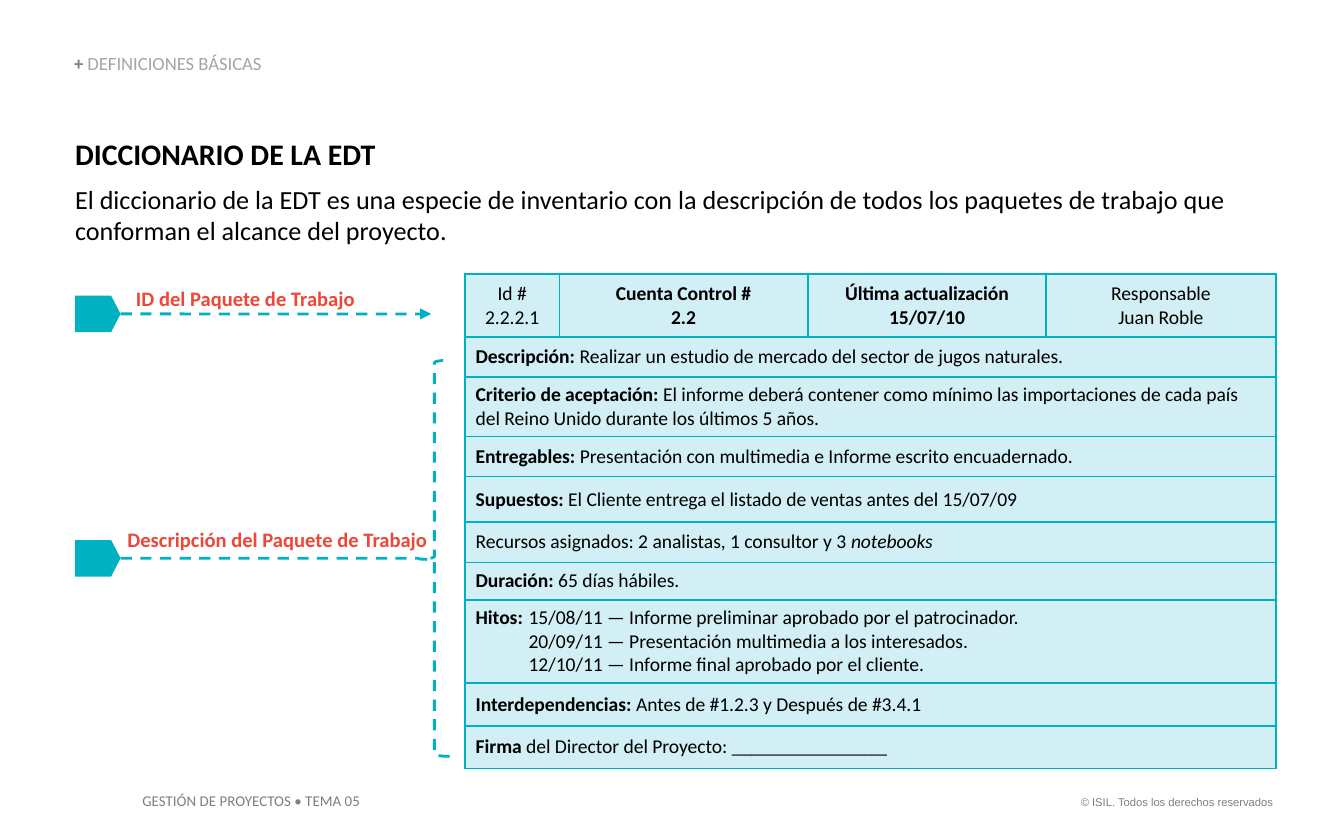
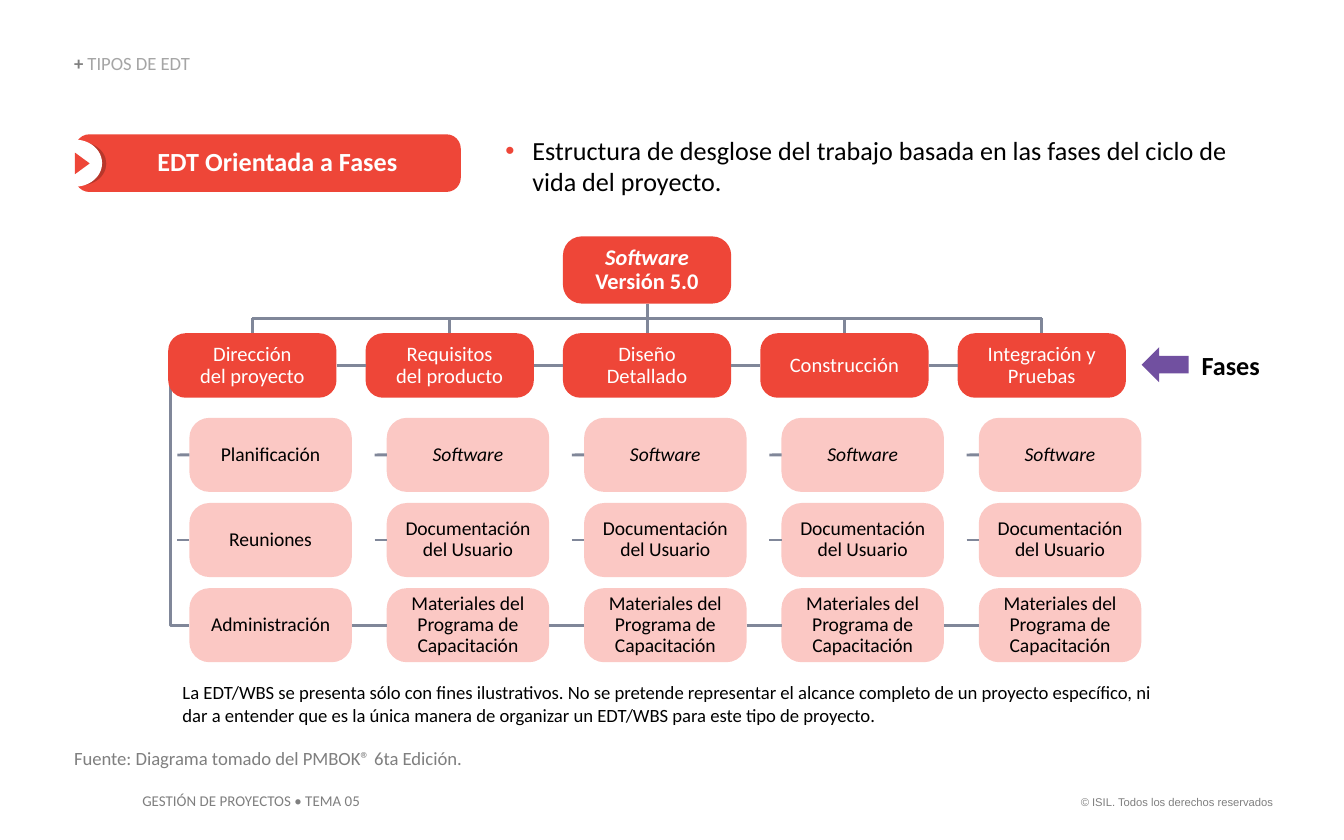
from lxml import etree
from pptx import Presentation, util as u
from pptx.dml.color import RGBColor
from pptx.enum import dml, shapes, text
from pptx.oxml.ns import qn

TEAL, PALE, RED, PINK = "00B1C2", "D1EFF4", "EE4638", "FBC8C4"
DARK, GRAY, LIGHT, SLATE = "B8372B", "7F7F7F", "A5A5A5", "808799"
BLACK, WHITE, PLUM = "000000", "FFFFFF", "7150A0"
FORM, LINK = shapes.MSO_SHAPE, shapes.MSO_CONNECTOR
MID, LOW = text.MSO_ANCHOR.MIDDLE, text.MSO_ANCHOR.BOTTOM
LEFT, CENTER, RIGHT = text.PP_ALIGN.LEFT, text.PP_ALIGN.CENTER, text.PP_ALIGN.RIGHT
STEP = 3.73
EXTRA = ["Software", "Documentación del Usuario",
         "Materiales del Programa de Capacitación"]
PHASES = [
    ("Dirección\ndel proyecto", ["Planificación", "Reuniones", "Administración"]),
    ("Requisitos\ndel producto", EXTRA),
    ("Diseño\nDetallado", EXTRA),
    ("Construcción", EXTRA),
    ("Integración y Pruebas", EXTRA),
]
HEADS = [
    [[("Id #", "")], [("2.2.2.1", "")]],
    [[("Cuenta Control #\n2.2", "b")]],
    [[("Última actualización 15/07/10", "b")]],
    [[("Responsable", "")], [("Juan Roble", "")]],
]
ROWS = [
    [("Descripción: ", "b"),
     ("Realizar un estudio de mercado del sector de jugos naturales.", "")],
    [("Criterio de aceptación: ", "b"),
     ("El informe deberá contener como mínimo las importaciones de cada país "
      "del Reino Unido durante los últimos 5 años.", "")],
    [("Entregables: ", "b"),
     ("Presentación con multimedia e Informe escrito encuadernado.", "")],
    [("Supuestos: ", "b"),
     ("El Cliente entrega el listado de ventas antes del 15/07/09", "")],
    [("Recursos asignados: 2 analistas, 1 consultor y 3 ", ""), ("notebooks", "i")],
    [("Duración: ", "b"), ("65 días hábiles.", "")],
    [("Hitos:\t", "b"),
     ("15/08/11 — Informe preliminar aprobado por el patrocinador.", "")],
    [("Interdependencias: ", "b"), ("Antes de #1.2.3 y Después de #3.4.1", "")],
    [("Firma", "b"), (" del Director del Proyecto: ________________", "")],
]
DATES = ["20/09/11 — Presentación multimedia a los interesados.",
         "12/10/11 — Informe final aprobado por el cliente."]
COLS = [1.78, 4.7, 4.5, 4.34]
HIGHS = [1.19, 0.76, 1.12, 0.76, 0.86, 0.76, 0.71, 1.57, 0.81, 0.81]


def tint(hue):
    """Turn a hex string into a colour."""
    return RGBColor.from_string(hue)


def paint(fill, hue):
    """Give a fill or line fill one solid colour."""
    fill.solid()
    fill.fore_color.rgb = tint(hue)


def node(owner, tag, **attrs):
    """Append an XML child with attributes."""
    child = etree.SubElement(owner, qn(tag))
    for key, value in attrs.items():
        child.set(key, str(value))
    return child


def write(frame, runs, size, hue=BLACK, align=LEFT, space=None, gap=None):
    """Add a paragraph of (text, style, colour) runs to a frame."""
    para = frame.paragraphs[0]
    if para.runs:
        para = frame.add_paragraph()
    para.alignment = align
    if space:
        para.line_spacing = space
    if gap:
        para.space_before = u.Pt(gap)
    for words, style, *own in runs:
        for place, part in enumerate(words.split("\n")):
            if place:
                para.add_line_break()
            run = para.add_run()
            run.text = part
            font = run.font
            font.name, font.size = "Calibri", u.Pt(size)
            font.bold, font.italic = "b" in style, "i" in style
            font.color.rgb = tint(own[0] if own else hue)
    return para


def inset(frame, side=0, edge=0):
    """Set the margins of a frame and let it wrap."""
    frame.word_wrap = True
    frame.margin_left = frame.margin_right = u.Cm(side)
    frame.margin_top = frame.margin_bottom = u.Cm(edge)
    return frame


def label(slide, box, runs, size, hue=BLACK, **opts):
    """Add a text box without margins."""
    frame = inset(slide.shapes.add_textbox(*map(u.Cm, box)).text_frame)
    write(frame, runs, size, hue, **opts)
    return frame


def shape(slide, kind, box, hue=None, adjust=(), turn=0):
    """Add a flat preset shape without an outline."""
    item = slide.shapes.add_shape(kind, *map(u.Cm, box))
    item.shadow.inherit = False
    item.rotation = turn
    for place, value in enumerate(adjust):
        item.adjustments[place] = value
    if hue:
        paint(item.fill, hue)
    else:
        item.fill.background()
    item.line.fill.background()
    return item


def block(slide, box, hue, runs, size, ink, curve=0.27, side=0, edge=0):
    """Add a rounded box with centred text."""
    item = shape(slide, FORM.ROUNDED_RECTANGLE, box, hue, [curve])
    frame = inset(item.text_frame, side, edge)
    frame.vertical_anchor = MID
    write(frame, runs, size, ink, CENTER, 0.9)
    return item


def stroke(line, hue, dash=False):
    """Style an outline or a connector line."""
    paint(line.fill, hue)
    line.width = u.Pt(1.5)
    if dash:
        line.dash_style = dml.MSO_LINE.DASH


def link(slide, ends, hue=SLATE, dash=False, start=None, stop=None, kind=LINK.STRAIGHT):
    """Add a connector, joined to (shape, site) pairs if given."""
    wire = slide.shapes.add_connector(kind, *map(u.Cm, ends))
    stroke(wire.line, hue, dash)
    node(wire._element.spPr, "a:effectLst")
    if start:
        wire.begin_connect(*start)
    if stop:
        wire.end_connect(*stop)
    return wire


def elbow(slide, ends, bend):
    """Add a bent connector with its bend at a share of the width."""
    wire = link(slide, ends, kind=LINK.ELBOW)
    guides = wire._element.spPr.find(qn("a:prstGeom")).find(qn("a:avLst"))
    node(guides, "a:gd", name="adj1", fmla=f"val {round(bend * 100000)}")


def indent(para, left, first=0):
    """Set the left margin and first-line indent of a paragraph."""
    props = para._p.get_or_add_pPr()
    props.set("marL", str(u.Cm(left)))
    props.set("indent", str(u.Cm(first)))
    return props


def base(deck, topic):
    """Add a slide with its topic line and footers."""
    slide = deck.slides.add_slide(deck.slide_layouts[6])
    paint(slide.background.fill, WHITE)
    head = label(slide, (1.4, 1.04, 6.76, 0.38),
                 [("+ ", "b", GRAY), (topic, "")], 10, LIGHT, space=0.9)
    head.vertical_anchor = LOW
    foot = label(slide, (2.44, 14.83, 4.83, 0.61),
                 [("GESTIÓN DE PROYECTOS • TEMA 05", "")], 8, GRAY)
    legal = label(slide, (20.09, 14.91, 4.22, 0.51),
                  [("© ISIL. Todos los derechos reservados", "")], 6, GRAY, align=RIGHT)
    legal.paragraphs[0].runs[0].font.name = "Arial"
    for frame in (foot, legal):
        inset(frame, 0.25, 0.13)
    return slide


def cell(item, lines, align=LEFT):
    """Fill a table cell with text, borders and colour."""
    props = item._tc.get_or_add_tcPr()
    for side in "LRTB":
        edge = node(props, f"a:ln{side}", w=u.Pt(1))
        node(node(edge, "a:solidFill"), "a:srgbClr", val=TEAL)
    paint(item.fill, PALE)
    item.margin_left = item.margin_right = u.Cm(0.2)
    item.margin_top = item.margin_bottom = u.Cm(0.1)
    item.vertical_anchor = MID
    for runs in lines:
        write(item.text_frame, runs, 10.5, align=align)


def grid(slide):
    """Add the dictionary table."""
    table = slide.shapes.add_table(len(HIGHS), len(COLS), u.Cm(8.79), u.Cm(5.18),
                                   u.Cm(sum(COLS)), u.Cm(sum(HIGHS))).table
    table.first_row = table.horz_banding = False
    for col, wide in zip(table.columns, COLS):
        col.width = u.Cm(wide)
    for row, high in zip(table.rows, HIGHS):
        row.height = u.Cm(high)
    for place, lines in enumerate(HEADS):
        cell(table.cell(0, place), lines, CENTER)
    for place, runs in enumerate(ROWS, 1):
        first = table.cell(place, 0)
        first.merge(table.cell(place, 3))
        dated = runs[0][0].startswith("Hitos")
        cell(first, [runs] + [[(day, "")] for day in DATES if dated])
        for col in range(1, 4):
            cell(table.cell(place, col), [])
        if dated:
            paras = first.text_frame.paragraphs
            tabs = node(paras[0]._p.get_or_add_pPr(), "a:tabLst")
            node(tabs, "a:tab", pos=u.Cm(1), algn="l")
            for para in paras[1:]:
                indent(para, 1)


def marker(slide, top, end, box, words):
    """Add a teal tag with its dashed line and red label."""
    tag = shape(slide, FORM.PENTAGON, (1.42, top, 0.86, 0.69), TEAL, [0.258])
    mid = top + 0.345
    label(slide, box, [(words, "b")], 11, RED)
    return link(slide, (2.28, mid, end, mid), TEAL, True, start=(tag, 3))


def lexicon(deck):
    """Build the slide on the dictionary."""
    slide = base(deck, "DEFINICIONES BÁSICAS")
    intro = label(slide, (1.42, 2.57, 22.68, 2.08), [("DICCIONARIO DE LA EDT", "b")], 16)
    write(intro, [("El diccionario de la EDT es una especie de inventario con la "
                   "descripción de todos los paquetes de trabajo que conforman el "
                   "alcance del proyecto.", "")], 14, gap=6)
    grid(slide)
    arrow = marker(slide, 5.59, 8.15, (2.57, 5.41, 7.06, 0.48),
                   "ID del Paquete de Trabajo")
    node(arrow.line._get_or_add_ln(), "a:tailEnd", type="triangle")
    marker(slide, 10.21, 7.92, (2.41, 9.96, 5.77, 0.48),
           "Descripción del Paquete de Trabajo")
    brace = shape(slide, FORM.LEFT_BRACE, (7.92, 6.81, 0.58, 7.49), adjust=[0.083, 0.502])
    stroke(brace.line, TEAL, True)


def badge(slide):
    """Add the red heading with its round notch."""
    block(slide, (1.42, 2.54, 7.29, 1.09), RED, [("EDT Orientada a Fases", "b")],
          14, WHITE, 0.248, 0.25, 0.13).text_frame.margin_left = u.Cm(0.61)
    shape(slide, FORM.OVAL, (1.07, 2.69, 0.94, 0.81), DARK)
    shape(slide, FORM.OVAL, (0.91, 2.64, 1.02, 0.89), WHITE)
    shape(slide, FORM.ISOSCELES_TRIANGLE, (1.35, 2.95, 0.41, 0.28), RED, turn=90)


def tree(slide):
    """Add the work breakdown tree."""
    elbow(slide, (3.33, 6.91, 3.58, 11.82), -0.4)
    root = block(slide, (10.64, 4.47, 3.18, 1.27), RED,
                 [("Software ", "bi"), ("Versión 5.0", "b")], 12, WHITE, 0.281, 0.25, 0.13)
    bus, half = 6.02, 1.59
    link(slide, (3.18 + half, bus, 3.18 + 4 * STEP + half, bus))
    prior = None
    for place, (name, tasks) in enumerate(PHASES):
        left = 3.18 + place * STEP
        mid = left + half
        phase = block(slide, (left, 6.3, 3.18, 1.22), RED, [(name, "")], 11, WHITE)
        link(slide, (mid, bus, mid, 6.3), stop=(phase, 0),
             start=(root, 2) if place == 2 else None)
        left += 0.4
        for row, task in enumerate(tasks):
            top = 7.9 + row * 1.61
            style = "i" if task == "Software" else ""
            leaf = block(slide, (left, top, 3.07, 1.4), PINK, [(task, style)], 10.5, BLACK)
            if row < 2:
                link(slide, (left - 0.23, top + 0.7, left, top + 0.7), stop=(leaf, 1))
        if prior:
            for old, new in zip(prior, (phase, leaf)):
                link(slide, (0, 0, 1, 1), start=(old, 3), stop=(new, 1))
        prior = phase, leaf


def types(deck):
    """Build the slide on the phase-based breakdown."""
    slide = base(deck, "TIPOS DE EDT")
    badge(slide)
    point = label(slide, (9.55, 2.54, 14.55, 1.19),
                  [("Estructura de desglose del trabajo basada en las fases del ciclo "
                    "de vida del proyecto.", "")], 14)
    props = indent(point.paragraphs[0], 0.51, -0.51)
    node(node(props, "a:buClr"), "a:srgbClr", val=RED)
    node(props, "a:buFont", typeface="Arial")
    node(props, "a:buChar", char="•")
    tree(slide)
    shape(slide, FORM.DOWN_ARROW, (21.69, 6.45, 0.66, 0.89), PLUM, turn=90)
    label(slide, (22.71, 6.6, 1.27, 0.61), [("Fases", "b")], 14)
    label(slide, (3.45, 12.88, 18.42, 0.86),
          [("La EDT/WBS se presenta sólo con fines ilustrativos. No se pretende "
            "representar el alcance completo de un proyecto específico, ni dar a "
            "entender que es la única manera de organizar un EDT/WBS para este tipo "
            "de proyecto.", "")], 10)
    label(slide, (1.4, 14.12, 16.61, 0.43),
          [("Fuente: Diagrama tomado del PMBOK® 6ta Edición.", "")], 10, GRAY)


def main():
    """Build and save the deck."""
    deck = Presentation()
    deck.slide_width, deck.slide_height = u.Cm(25.4), u.Cm(15.88)
    lexicon(deck)
    types(deck)
    deck.save("out.pptx")


if __name__ == "__main__":
    main()
